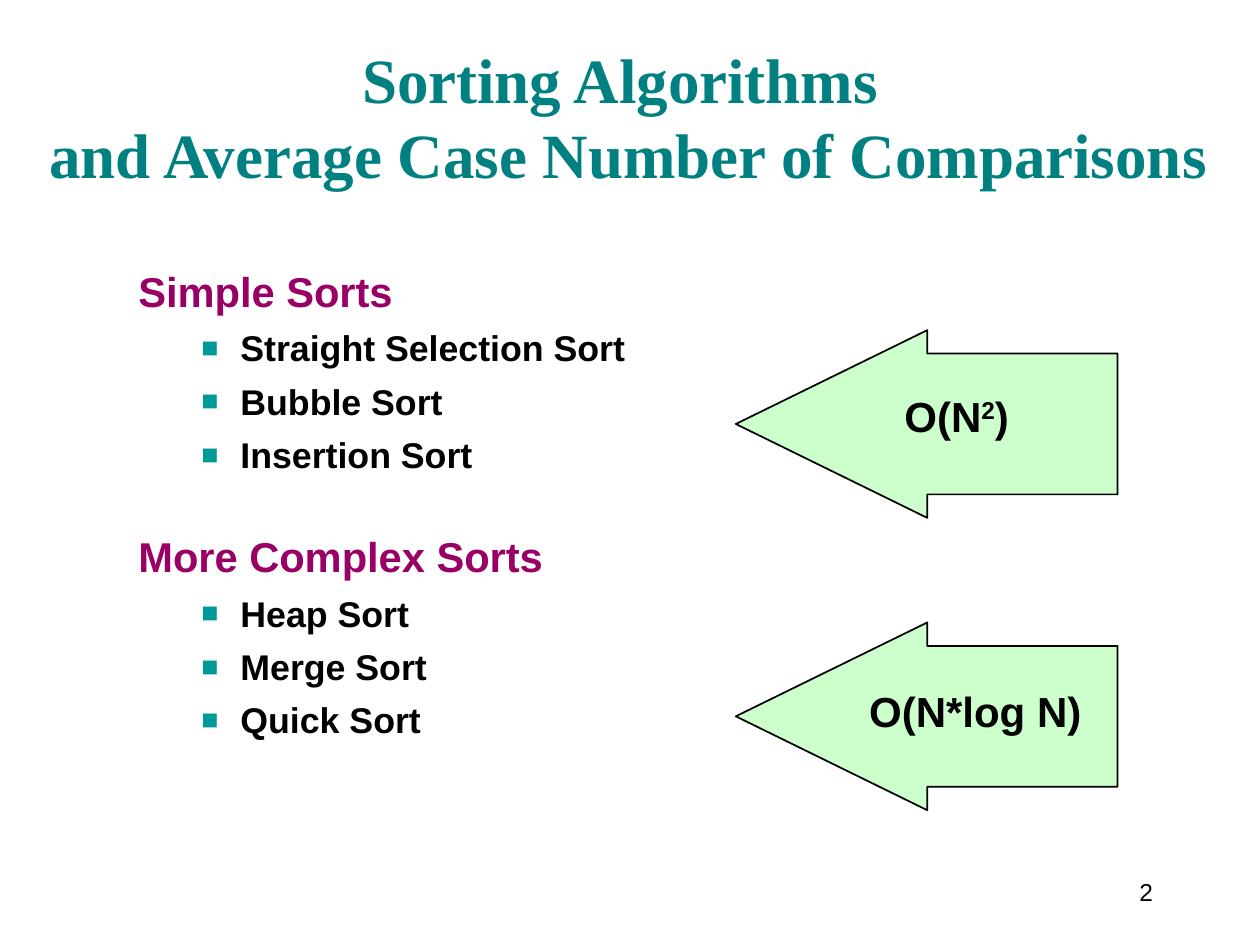
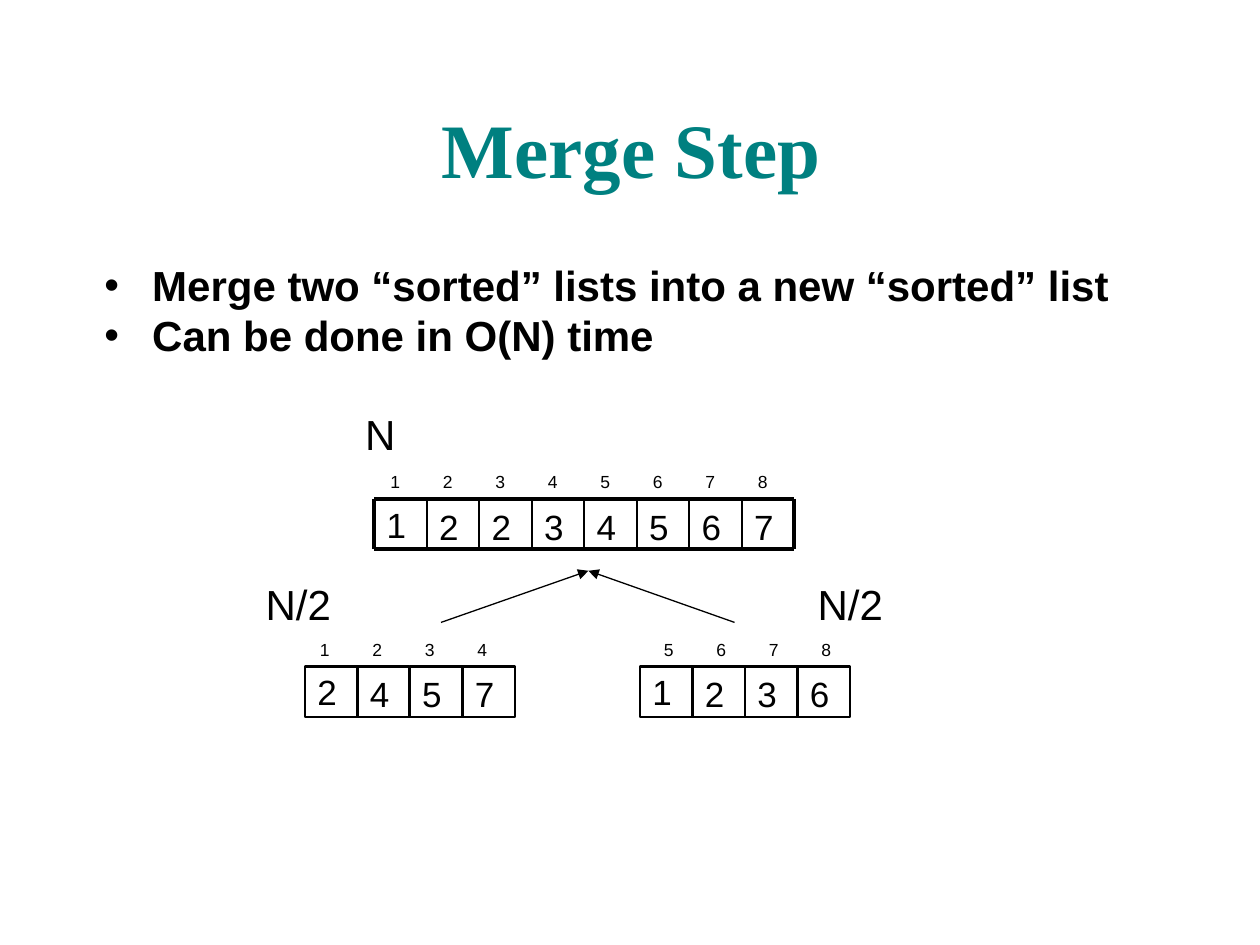
"""Builds two slides on sorting costs and the merge step."""
from dataclasses import dataclass

from lxml.etree import SubElement as Sub
from pptx import Presentation
from pptx.dml.color import RGBColor as Rgb
from pptx.enum.shapes import MSO_CONNECTOR as Conn, MSO_SHAPE as Form
from pptx.enum.text import MSO_ANCHOR as Anchor, PP_ALIGN as Align
from pptx.oxml.ns import qn
from pptx.util import Inches, Pt

HUES = {"title": "008080", "head": "990066", "bullet": "009999",
        "arrow": "CCFFCC", "ink": "000000"}
SANS, SERIF = "Arial", "Times New Roman"
STEP, TALL = 5 / 12, 0.4


@dataclass
class Style:
    size: float
    hue: str = "ink"
    bold: bool = False
    face: str = SANS
    align: Align = Align.LEFT


@dataclass
class Bullet:
    sign: str
    hue: str
    left: float
    hang: float
    scale: int = 100


@dataclass
class Group:
    head: str
    sorts: list[str]
    space: float


@dataclass
class Cost:
    top: float
    left: float
    drop: float
    text: str
    power: str = ""
    close: str = ""


@dataclass
class Row:
    left: float
    top: float
    items: str
    first: int
    shift: float
    boxed: bool = True


@dataclass
class Label:
    text: str
    left: float
    top: float
    width: float


HEAD = Style(23.8, "head", True)
ITEM = Style(20.4, bold=True)
POINT = Style(24, bold=True)
SIZE, DIGIT, INDEX = Style(24), Style(20), Style(10)
SQUARE = Bullet("■", "bullet", 0.81, 0.31, 80)
DOT = Bullet("•", "ink", 0.38, 0.38)

GROUPS = [
    Group("Simple Sorts", ["Straight Selection Sort", "Bubble Sort", "Insertion Sort"], 0),
    Group("More Complex Sorts", ["Heap Sort", "Merge Sort", "Quick Sort"], 31.5),
]
COSTS = [Cost(2.62, 7.08, 0.43, "O(N", "2", ")"), Cost(4.94, 6.8, 0.45, "O(N*log N)")]
POINTS = ["Merge two “sorted” lists into a new “sorted” list", "Can be done in O(N) time"]
ROWS = [Row(2.97, 3.96, "12234567", 1, 0.03, False),
        Row(2.42, 5.29, "2457", 1, 0.02), Row(5.08, 5.29, "1236", 5, 0.09)]
LABELS = [Label("N/2", 2.01, 4.54, 0.72), Label("N/2", 6.39, 4.54, 0.72),
          Label("N", 2.8, 3.19, 0.44)]


def color(hue: str) -> Rgb:
    return Rgb.from_string(HUES[hue])


def write(para, text: str, style: Style, bullet: Bullet | None = None,
          space: float = 0) -> None:
    para.text = text
    if bullet:
        props = para._p.get_or_add_pPr()
        props.set("marL", str(Inches(bullet.left)))
        props.set("indent", str(-Inches(bullet.hang)))
        Sub(Sub(props, qn("a:buClr")), qn("a:srgbClr"), val=HUES[bullet.hue])
        Sub(props, qn("a:buSzPct"), val=str(bullet.scale * 1000))
        Sub(props, qn("a:buFont"), typeface=SANS)
        Sub(props, qn("a:buChar"), char=bullet.sign)
    para.alignment = style.align
    para.space_before = Pt(space)
    font = para.font
    font.size, font.bold, font.name = Pt(style.size), style.bold, style.face
    font.color.rgb = color(style.hue)


def add_box(slide, left: float, top: float, width: float, height: float,
            text: str = "", style: Style = SIZE, anchor: Anchor = Anchor.TOP,
            wrap: bool = True):
    box = slide.shapes.add_textbox(Inches(left), Inches(top), Inches(width), Inches(height))
    frame = box.text_frame
    frame.word_wrap, frame.vertical_anchor = wrap, anchor
    if text:
        write(frame.paragraphs[0], text, style)
    return frame


def add_title(slide, text: str, size: float, left: float, top: float,
              width: float, height: float) -> None:
    style = Style(size, "title", True, SERIF, Align.CENTER)
    add_box(slide, left, top, width, height, text, style, Anchor.BOTTOM)


def add_shape(slide, form: Form, left: float, top: float, width: float,
              height: float, line: float, fill: str = ""):
    shape = slide.shapes.add_shape(form, Inches(left), Inches(top),
                                   Inches(width), Inches(height))
    shape.shadow.inherit = False
    if fill:
        shape.fill.solid()
        shape.fill.fore_color.rgb = color(fill)
    else:
        shape.fill.background()
    shape.line.color.rgb, shape.line.width = color("ink"), Pt(line)
    return shape


def add_line(slide, x1: float, y1: float, x2: float, y2: float,
             width: float, arrow: bool = False) -> None:
    line = slide.shapes.add_connector(Conn.STRAIGHT, Inches(x1), Inches(y1),
                                      Inches(x2), Inches(y2))
    line.line.color.rgb, line.line.width = color("ink"), Pt(width)
    if arrow:
        Sub(line.line._get_or_add_ln(), qn("a:tailEnd"), type="triangle")
    Sub(line._element.spPr, qn("a:effectLst"))


def add_cost(slide, cost: Cost) -> None:
    arrow = add_shape(slide, Form.LEFT_ARROW, 5.84, cost.top, 3.03, 1.49, 1, "arrow")
    arrow.adjustments[0], arrow.adjustments[1] = 0.75, 1.02
    para = add_box(slide, cost.left, cost.top + cost.drop, 2, 0.5,
                   cost.text, POINT).paragraphs[0]
    if cost.power:
        power = para.add_run()
        power.text = cost.power
        power._r.get_or_add_rPr().set("baseline", "30000")
        para.add_run().text = cost.close


def add_row(slide, row: Row) -> None:
    for i, item in enumerate(row.items):
        left = row.left + i * STEP
        anchor = Anchor.TOP if i else Anchor.MIDDLE
        add_box(slide, left + row.shift, row.top - 0.27, 0.25, 0.27,
                str(row.first + i), INDEX)
        if row.boxed:
            cell = add_shape(slide, Form.RECTANGLE, left, row.top, STEP, TALL, 1.5)
            cell.text_frame.vertical_anchor = anchor
            write(cell.text_frame.paragraphs[0], item, DIGIT)
        else:
            add_box(slide, left, row.top, STEP, TALL, item, DIGIT, anchor)
    if not row.boxed:
        add_grid(slide, row)


def add_grid(slide, row: Row) -> None:
    count = len(row.items)
    for y in (row.top, row.top + TALL):
        add_line(slide, row.left, y, row.left + count * STEP, y, 2.25)
    for i in range(count + 1):
        x = row.left + i * STEP
        add_line(slide, x, row.top, x, row.top + TALL, 2.25 if i in (0, count) else 1)


def draw_sorts(slide) -> None:
    add_title(slide, "Sorting Algorithms \vand Average Case Number of Comparisons",
              36, 0.11, 0.24, 9.75, 1.33)
    frame = add_box(slide, 1, 2.06, 7.08, 4.58)
    for i, group in enumerate(GROUPS):
        para = frame.add_paragraph() if i else frame.paragraphs[0]
        write(para, group.head, HEAD, space=group.space)
        for name in group.sorts:
            write(frame.add_paragraph(), name, ITEM, SQUARE, 6)
    for cost in COSTS:
        add_cost(slide, cost)
    add_box(slide, 8.58, 6.83, 0.67, 0.5, "2", Style(14, align=Align.RIGHT), Anchor.MIDDLE)


def draw_merge(slide) -> None:
    add_title(slide, "Merge Step", 44, 0.23, 0.34, 9.56, 1.25)
    frame = add_box(slide, 0.73, 2.01, 9.27, 0.9)
    for i, point in enumerate(POINTS):
        para = frame.add_paragraph() if i else frame.paragraphs[0]
        write(para, point, POINT, DOT)
    for row in ROWS:
        add_row(slide, row)
    for foot in (3.5, 5.83):
        add_line(slide, foot, 4.94, 4.67, 4.53, 0.75, True)
    for label in LABELS:
        add_box(slide, label.left, label.top, label.width, 0.5, label.text, wrap=False)


def main() -> None:
    deck = Presentation()
    deck.slide_width, deck.slide_height = Inches(10), Inches(7.5)
    for draw in (draw_sorts, draw_merge):
        draw(deck.slides.add_slide(deck.slide_layouts[6]))
    deck.save("out.pptx")


if __name__ == "__main__":
    main()
